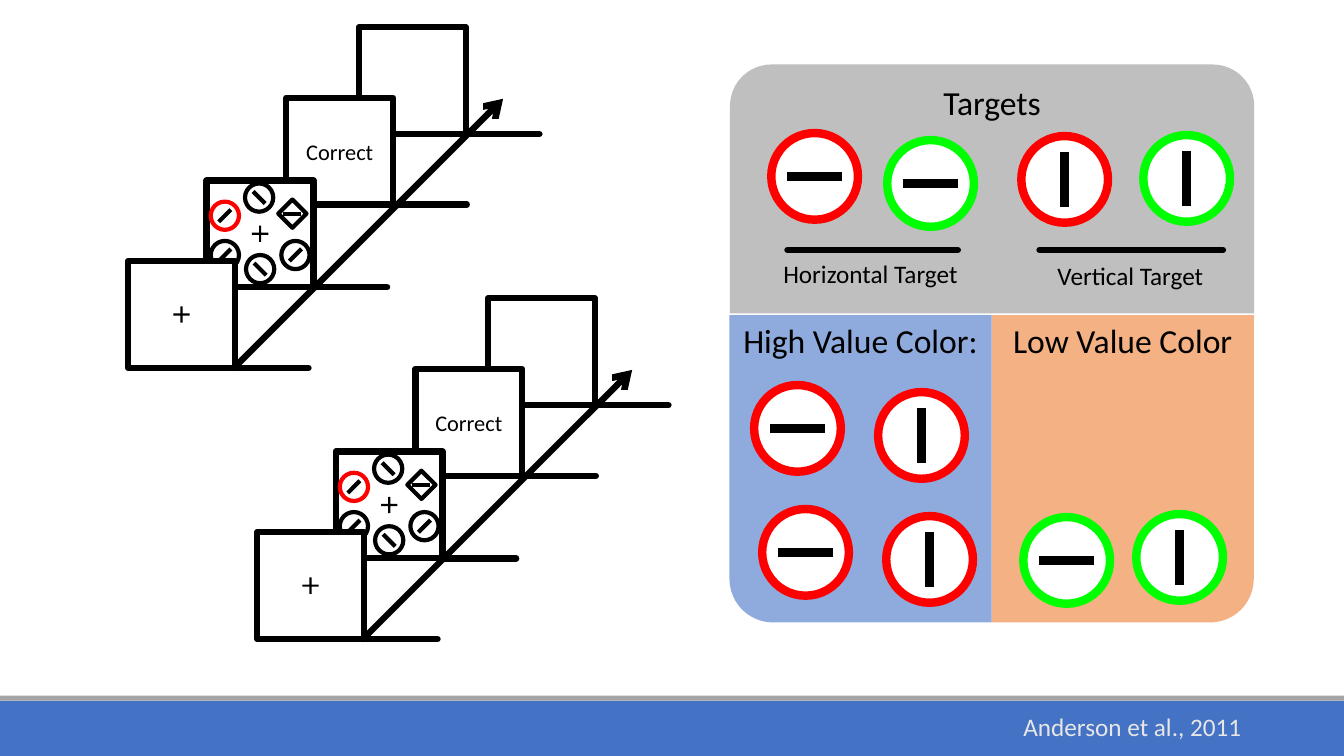
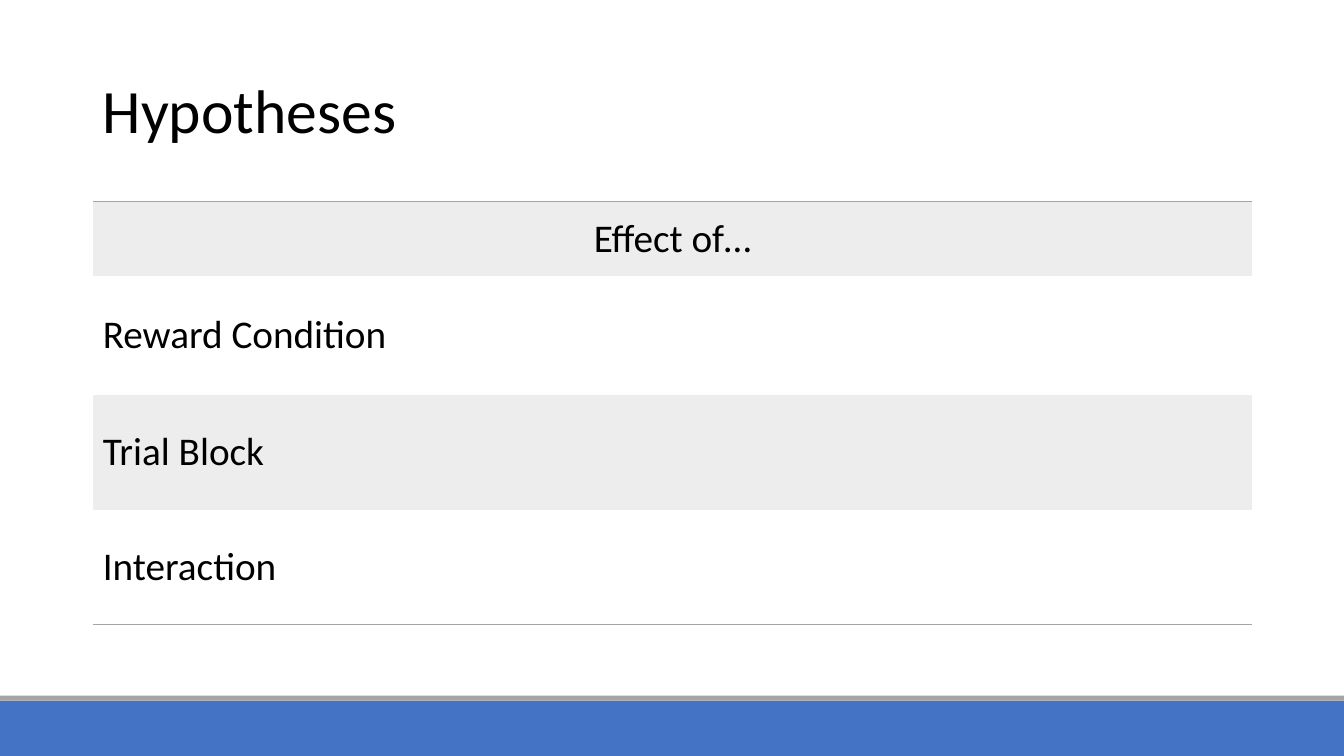
from lxml import etree
from pptx import Presentation
from pptx.dml.color import RGBColor
from pptx.enum.shapes import MSO_CONNECTOR, MSO_SHAPE
from pptx.enum.text import MSO_ANCHOR, PP_ALIGN
from pptx.oxml.ns import qn
from pptx.util import Inches, Pt

STRAIGHT = MSO_CONNECTOR.STRAIGHT
RECTANGLE, ELLIPSE, DIAMOND = MSO_SHAPE.RECTANGLE, MSO_SHAPE.OVAL, MSO_SHAPE.DIAMOND
PLUS, ONE_ROUND = MSO_SHAPE.MATH_PLUS, MSO_SHAPE.ROUND_1_RECTANGLE
TOP_ROUND = MSO_SHAPE.ROUND_2_SAME_RECTANGLE
LEFT, CENTER, RIGHT = PP_ALIGN.LEFT, PP_ALIGN.CENTER, PP_ALIGN.RIGHT
TOP, MIDDLE = MSO_ANCHOR.TOP, MSO_ANCHOR.MIDDLE

BLACK = RGBColor(0x00, 0x00, 0x00)
WHITE = RGBColor(0xFF, 0xFF, 0xFF)
RED = RGBColor(0xFF, 0x00, 0x00)
GREEN = RGBColor(0x00, 0xFF, 0x00)
BLUE = RGBColor(0x44, 0x72, 0xC4)
GRAY = RGBColor(0xA5, 0xA5, 0xA5)
PANEL_GRAY = RGBColor(0xBF, 0xBF, 0xBF)
PANEL_BLUE = RGBColor(0x8F, 0xAA, 0xDC)
PANEL_ORANGE = RGBColor(0xF4, 0xB1, 0x83)
ROW_GRAY = RGBColor(0xED, 0xED, 0xED)
PALE_GRAY = RGBColor(0xE7, 0xE6, 0xE6)

FONT = "Calibri"
NO_TABLE_STYLE = "{2D5ABB26-0587-4C30-8999-92F81FD0307C}"
TITLE = {"size": 44, "color": BLACK, "alignment": LEFT, "anchor": MIDDLE, "line_spacing": 0.9}
CITATION = {"size": 18, "color": PALE_GRAY, "alignment": RIGHT, "anchor": MIDDLE, "line_spacing": 0.9}
PANEL_HEADING = {"size": 24, "color": BLACK, "alignment": CENTER, "anchor": TOP}
TARGET_LABEL = {"size": 18, "color": BLACK, "alignment": LEFT, "anchor": TOP}
FEEDBACK = {"size": 16, "color": BLACK, "alignment": CENTER, "anchor": MIDDLE}
TABLE_TEXT = {"size": 28, "color": BLACK, "alignment": LEFT, "anchor": MIDDLE}
TABLE_HEADING = {**TABLE_TEXT, "alignment": CENTER}


def add_shape(shapes, preset, box, fill=None, outline=None, weight=0):
    shape = shapes.add_shape(preset, *map(Inches, box))
    shape.shadow.inherit = False
    for paint, color in ((shape.fill, fill), (shape.line.fill, outline)):
        if color is None:
            paint.background()
        else:
            paint.solid()
            paint.fore_color.rgb = color
    if outline is not None:
        shape.line.width = Pt(weight)
    return shape


def add_line(shapes, start, end, weight, cap="flat", arrow=False):
    connector = shapes.add_connector(STRAIGHT, *map(Inches, (*start, *end)))
    connector.line.color.rgb = BLACK
    connector.line.width = Pt(weight)
    properties = connector._element.spPr
    line = properties.find(qn("a:ln"))
    line.set("cap", cap)
    if arrow:
        etree.SubElement(line, qn("a:tailEnd")).set("type", "arrow")
    etree.SubElement(properties, qn("a:effectLst"))


presentation = Presentation()
presentation.slide_width = Inches(13.33)
presentation.slide_height = Inches(7.5)
blank_layout = presentation.slide_layouts[6]
texts = []  # (holder of the text frame, wording, format), written at the end

# Both slides carry the footer bands
slides = [presentation.slides.add_slide(blank_layout) for _ in range(2)]
for slide in slides:
    add_shape(slide.shapes, RECTANGLE, (0, 6.95, 13.33, 0.55), BLUE)
    add_shape(slide.shapes, RECTANGLE, (0, 6.9, 13.33, 0.05), GRAY)
task_slide, hypotheses_slide = slides

# Text boxes: slide, wording, box, format, wrap
for slide, wording, box, text_format, wrap in (
    (task_slide, "Anderson et al., 2011", (8.83, 6.95, 3.58, 0.55), CITATION, True),
    (hypotheses_slide, "Hypotheses", (0.92, 0.4, 11.5, 1.45), TITLE, True),
):
    text_box = slide.shapes.add_textbox(*map(Inches, box))
    text_box.text_frame.word_wrap = wrap
    texts.append((text_box, wording, text_format))

# Panels: the lower ones are turned so that the outer bottom corner is round
for preset, wording, box, color, rotation, direction in (
    (TOP_ROUND, "Targets", (7.24, 0.64, 5.2, 2.47), PANEL_GRAY, 0, "horz"),
    (ONE_ROUND, "Low Value Color", (9.61, 3.35, 3.05, 2.6), PANEL_ORANGE, 90, "vert270"),
    (ONE_ROUND, "High Value Color:", (7.01, 3.35, 3.05, 2.6), PANEL_BLUE, 270, "vert"),
):
    panel = add_shape(task_slide.shapes, preset, box, color)
    panel.rotation = rotation
    panel.text_frame._txBody.bodyPr.set("vert", direction)
    if rotation == 270:
        panel._element.spPr.find(qn("a:xfrm")).set("flipH", "1")
    texts.append((panel, wording, PANEL_HEADING))

for wording, box, line_left, line_right in (
    ("Horizontal Target", (7.67, 2.51, 1.95, 0.4), 7.81, 9.5),
    ("Vertical Target", (10.39, 2.53, 1.66, 0.4), 10.31, 12.13),
):
    add_line(task_slide.shapes, (line_left, 2.48), (line_right, 2.48), 4.5, "rnd")
    label = task_slide.shapes.add_textbox(*map(Inches, box))
    label.text_frame.word_wrap = False
    texts.append((label, wording, TARGET_LABEL))

# Targets: a ring with a horizontal or vertical bar through its centre
RING, HALF_BAR = 0.86, 0.27
HORIZONTAL, VERTICAL = (HALF_BAR, 0), (0, HALF_BAR)
for left, top, color, (reach_x, reach_y) in (
    (7.65, 1.32, RED, HORIZONTAL),
    (8.8, 1.39, GREEN, HORIZONTAL),
    (10.13, 1.35, RED, VERTICAL),
    (11.34, 1.34, GREEN, VERTICAL),
    (7.48, 3.82, RED, HORIZONTAL),
    (8.71, 3.89, RED, VERTICAL),
    (7.56, 5.05, RED, HORIZONTAL),
    (8.79, 5.12, RED, VERTICAL),
    (10.15, 5.13, GREEN, HORIZONTAL),
    (11.27, 5.1, GREEN, VERTICAL),
):
    target = task_slide.shapes.add_group_shape().shapes
    add_shape(target, ELLIPSE, (left, top, RING, RING), WHITE, color, 6)
    x, y = left + RING / 2, top + RING / 2
    add_line(target, (x - reach_x, y - reach_y), (x + reach_x, y + reach_y), 6)

# Trial sequences: four frames along a time arrow, last frame at the back
FRAME, BASELINE, ITEM, CROSS = 1.06, 0.73, 0.28, 0.22
BLANK, REWARD, SEARCH, FIXATION = range(4)
FRAMES = {BLANK: (3.56, 0.27), REWARD: (2.84, 0.97), SEARCH: (2.05, 1.79), FIXATION: (1.27, 2.59)}
RISING, FALLING, LEVEL = (0.06, -0.06), (0.06, 0.06), (0.09, 0)
SEARCH_ITEMS = (
    (ELLIPSE, 0.04, 0.21, WHITE, RED, RISING),
    (DIAMOND, 0.71, 0.19, None, BLACK, LEVEL),
    (ELLIPSE, 0.38, 0.03, WHITE, BLACK, FALLING),
    (ELLIPSE, 0.04, 0.6, WHITE, BLACK, RISING),
    (ELLIPSE, 0.74, 0.6, WHITE, BLACK, RISING),
    (ELLIPSE, 0.39, 0.74, WHITE, BLACK, FALLING),
)
for shift_x, shift_y in ((0, 0), (1.28, 2.69)):
    trial = task_slide.shapes.add_group_shape().shapes
    for stage, (frame_x, frame_y) in FRAMES.items():
        left, top = frame_x + shift_x, frame_y + shift_y
        right, bottom = left + FRAME, top + FRAME
        frame = add_shape(trial, RECTANGLE, (left, top, FRAME, FRAME), WHITE, BLACK, 4.5)
        add_line(trial, (right, bottom), (right + BASELINE, bottom), 4.5, "rnd")
        if stage == REWARD:
            texts.append((frame, "Correct", FEEDBACK))
        if stage == SEARCH:
            for preset, item_x, item_y, fill, outline, (reach_x, reach_y) in SEARCH_ITEMS:
                box = (left + item_x, top + item_y, ITEM, ITEM)
                add_shape(trial, preset, box, fill, outline, 3)
                x, y = box[0] + ITEM / 2, box[1] + ITEM / 2
                add_line(trial, (x - reach_x, y - reach_y), (x + reach_x, y + reach_y), 3)
        if stage in (SEARCH, FIXATION):
            inset = (FRAME - CROSS) / 2
            cross = add_shape(trial, PLUS, (left + inset, top + inset, CROSS, CROSS), BLACK)
            cross.adjustments[0] = 0.1
    add_line(trial, (2.32 + shift_x, 3.65 + shift_y), (4.99 + shift_x, 0.98 + shift_y),
             4.5, "rnd", arrow=True)

# Hypotheses table
ROWS = ("Effect of…", "Reward Condition", "Trial Block", "Interaction")
table = hypotheses_slide.shapes.add_table(
    len(ROWS), 2, *map(Inches, (0.92, 2, 11.5, 4.2))).table
table._tbl.tblPr.find(qn("a:tableStyleId")).text = NO_TABLE_STYLE
table.first_row = table.horz_banding = False
for column, width in zip(table.columns, (6.98, 4.52)):
    column.width = Inches(width)
for row, height in zip(table.rows, (0.74, 1.18, 1.14, 1.14)):
    row.height = Inches(height)
table.cell(0, 0).merge(table.cell(0, 1))

BORDERS = {0: "a:lnT", len(ROWS) - 1: "a:lnB"}
for index, wording in enumerate(ROWS):
    for cell in table.rows[index].cells:
        if index % 2 == 0:
            cell.fill.solid()
            cell.fill.fore_color.rgb = ROW_GRAY
        else:
            cell.fill.background()
        if index in BORDERS:
            border = etree.Element(qn(BORDERS[index]), w=str(Pt(1)))
            border_fill = etree.SubElement(border, qn("a:solidFill"))
            etree.SubElement(border_fill, qn("a:srgbClr")).set("val", str(GRAY))
            cell._tc.get_or_add_tcPr().insert(0, border)
    texts.append((table.cell(index, 0), wording, TABLE_TEXT if index else TABLE_HEADING))

# Write all wording
for holder, wording, text_format in texts:
    anchor_owner = holder if hasattr(holder, "is_merge_origin") else holder.text_frame
    anchor_owner.vertical_anchor = text_format["anchor"]
    paragraph = holder.text_frame.paragraphs[0]
    for name in ("alignment", "line_spacing"):
        setattr(paragraph, name, text_format.get(name))
    run = paragraph.add_run()
    run.text = wording
    run.font.name = FONT
    run.font.size = Pt(text_format["size"])
    run.font.color.rgb = text_format["color"]

presentation.save("out.pptx")
